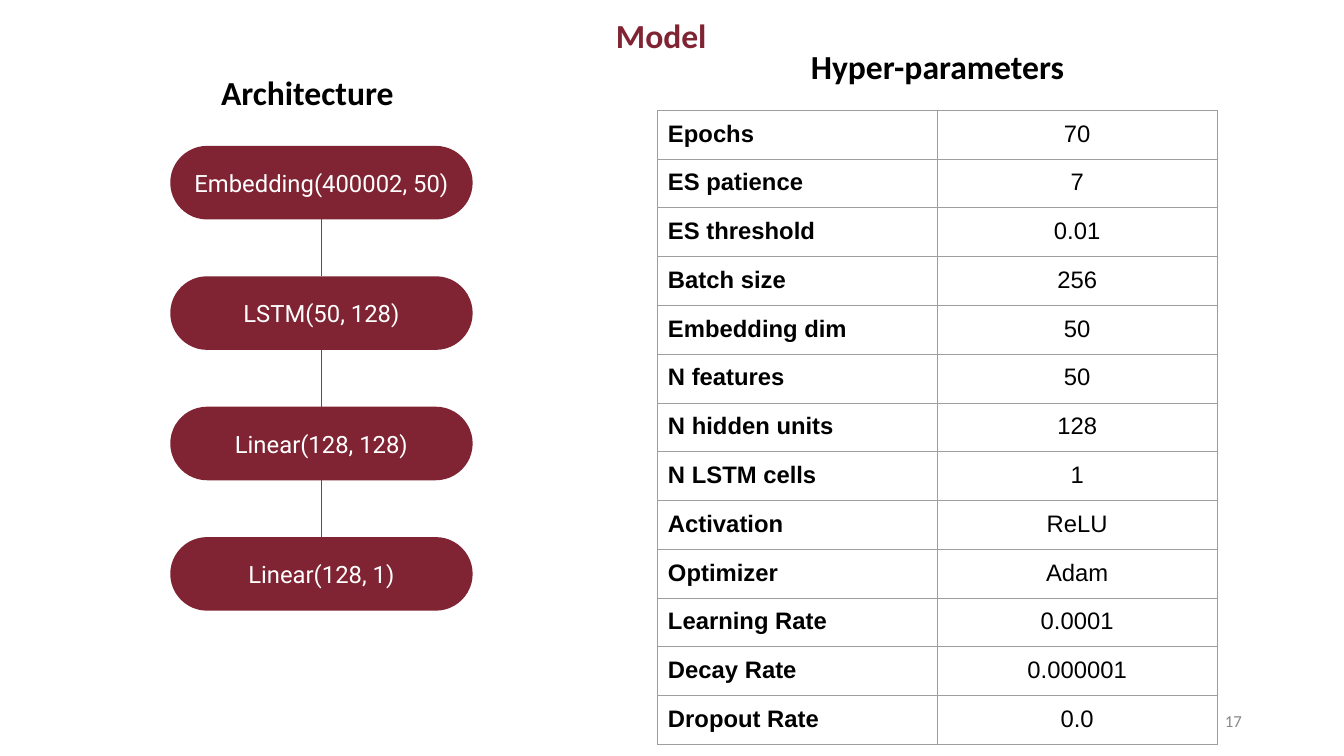
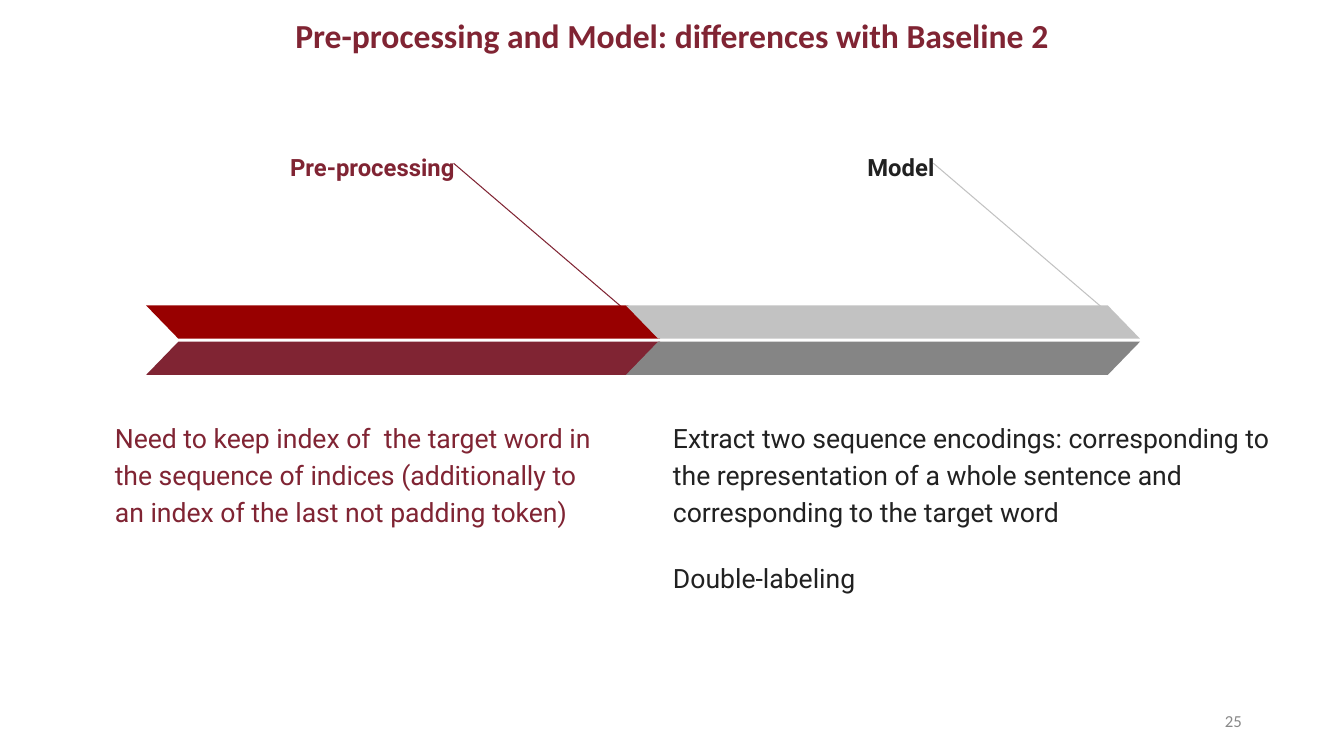
from dataclasses import dataclass
from typing import Any, NamedTuple

from lxml import etree
from pptx import Presentation, util as u
from pptx.dml import color
from pptx.enum import shapes, text
from pptx.oxml import ns

SLIDE_W, SLIDE_H = u.Inches(13.33), u.Inches(7.5)
MAROON, RED, INK, BLACK, WHITE = "802433", "980000", "212121", "000000", "FFFFFF"
SILVER, GREY, SLATE, BORDER, FOOTER = "C2C2C2", "858585", "44546A", "9E9E9E", "888888"
LEFT, CENTER, RIGHT = text.PP_ALIGN.LEFT, text.PP_ALIGN.CENTER, text.PP_ALIGN.RIGHT
TOP, MIDDLE = text.MSO_ANCHOR.TOP, text.MSO_ANCHOR.MIDDLE


class Box(NamedTuple):
    """A frame in percent of the slide's width and height."""
    left: float
    top: float
    width: float
    height: float

    def emu(self) -> tuple[int, int, int, int]:
        return (across(self.left), down(self.top),
                across(self.width), down(self.height))


@dataclass(frozen=True)
class Style:
    font: dict[str, Any]
    color: str
    paragraph: dict[str, Any]
    inset: tuple[float, float] = (0.1, 0.1)
    anchor: Any = TOP


@dataclass(frozen=True)
class Stage:
    label: str
    label_width: float
    body: tuple[str, ...]
    body_box: Box
    ink: str
    leader: str
    upper: str
    lower: str


def font(name: str, size: float, bold: bool = False) -> dict[str, Any]:
    return {"name": name, "size": u.Pt(size), "bold": bold}


def heading_style(ink: str, before: float) -> Style:
    return Style(font("Calibri", 24, True), ink,
                 {"alignment": CENTER, "line_spacing": 0.9, "space_before": u.Pt(before)})


TITLE = heading_style(MAROON, 5)
HEADING = heading_style(BLACK, 10)
NUMBER = Style(font("Calibri", 12), FOOTER, {"alignment": RIGHT}, (0.1, 0.05), MIDDLE)
LAYER = Style(font("Roboto", 17), WHITE, {"alignment": CENTER}, (0.13, 0.13), MIDDLE)
NAME_CELL = Style(font("Arial", 17, True), BLACK, {"alignment": LEFT})
VALUE_CELL = Style(font("Arial", 17), BLACK, {"alignment": CENTER})

LAYERS = ("Embedding(400002, 50)", "LSTM(50, 128)", "Linear(128, 128)", "Linear(128, 1)")
LAYER_BOX, LAYER_PITCH = Box(12.67, 19.3, 22.5, 9.73), 17.25
PARAMETERS = (
    ("Epochs", "70"), ("ES patience", "7"), ("ES threshold", "0.01"),
    ("Batch size", "256"), ("Embedding dim", "50"), ("N features", "50"),
    ("N hidden units", "128"), ("N LSTM cells", "1"), ("Activation", "ReLU"),
    ("Optimizer", "Adam"), ("Learning Rate", "0.0001"), ("Decay Rate", "0.000001"),
    ("Dropout Rate", "0.0"),
)
STAGE_PITCH = 35.7
STAGES = (
    Stage("Pre-processing", 23.93,
          ("Need to keep index of  the target word in the sequence of indices "
           "(additionally to an index of the last not padding token)",),
          Box(7.57, 53.47, 38.25, 22.67), MAROON, MAROON, RED, MAROON),
    Stage("Model", 13.05,
          ("Extract two sequence encodings: corresponding to the representation of "
           "a whole sentence and corresponding to the target word", "Double-labeling"),
          Box(49.1, 53.47, 48.25, 22.67), INK, SILVER, SILVER, GREY),
)


def across(percent: float) -> int:
    return round(SLIDE_W * percent / 100)


def down(percent: float) -> int:
    return round(SLIDE_H * percent / 100)


def rgb(code: str) -> color.RGBColor:
    return color.RGBColor.from_string(code)


def apply(target: Any, values: dict[str, Any]) -> None:
    for key, value in values.items():
        setattr(target, key, value)


def write(frame: Any, lines: tuple[str, ...], style: Style) -> None:
    for index, line in enumerate(lines):
        paragraph = frame.paragraphs[0] if index == 0 else frame.add_paragraph()
        apply(paragraph, style.paragraph)
        run = paragraph.add_run()
        run.text = line
        apply(run.font, style.font)
        run.font.color.rgb = rgb(style.color)


def margins(style: Style) -> dict[str, int]:
    side, end = map(u.Inches, style.inset)
    return {"margin_left": side, "margin_right": side,
            "margin_top": end, "margin_bottom": end}


def fill_frame(frame: Any, lines: tuple[str, ...], style: Style) -> None:
    apply(frame, {"word_wrap": True, "vertical_anchor": style.anchor, **margins(style)})
    write(frame, lines, style)


def add_text(slide: Any, box: Box, style: Style, *lines: str) -> Any:
    frame = slide.shapes.add_textbox(*box.emu()).text_frame
    fill_frame(frame, lines, style)
    return frame


def add_solid(slide: Any, kind: Any, box: Box, fill: str, adjustment: float) -> Any:
    solid = slide.shapes.add_shape(kind, *box.emu())
    solid.adjustments[0] = adjustment
    solid.shadow.inherit = False
    solid.fill.solid()
    solid.fill.fore_color.rgb = rgb(fill)
    solid.line.fill.background()
    return solid


def add_line(slide: Any, start: tuple[float, float], end: tuple[float, float],
             ink: str) -> None:
    line = slide.shapes.add_connector(
        shapes.MSO_CONNECTOR.STRAIGHT,
        across(start[0]), down(start[1]), across(end[0]), down(end[1]))
    line.line.color.rgb = rgb(ink)
    line.line.width = u.Pt(0.75)
    etree.SubElement(line.element.spPr, ns.qn("a:effectLst"))


def add_borders(cell: Any) -> None:
    properties = cell._tc.get_or_add_tcPr()
    for index, side in enumerate("LRTB"):
        edge = etree.Element(ns.qn(f"a:ln{side}"), w=str(u.Pt(0.75)))
        solid = etree.SubElement(edge, ns.qn("a:solidFill"))
        etree.SubElement(solid, ns.qn("a:srgbClr"), val=BORDER)
        properties.insert(index, edge)


def add_base(deck: Any, title: str, number: int, title_left: float) -> Any:
    """Add a blank slide with the shared title and page number."""
    slide = deck.slides.add_slide(deck.slide_layouts[6])
    add_text(slide, Box(70.65, 92.67, 22.5, 5.33), NUMBER, str(number))
    add_text(slide, Box(title_left, 1.2, 98.4, 7.6), TITLE, title)
    return slide


def add_layers(slide: Any) -> None:
    left, top, width, height = LAYER_BOX
    middle = left + width / 2
    for index, layer in enumerate(LAYERS):
        layer_top = top + index * LAYER_PITCH
        pill = add_solid(slide, shapes.MSO_SHAPE.ROUNDED_RECTANGLE,
                         LAYER_BOX._replace(top=layer_top), MAROON, 0.5)
        fill_frame(pill.text_frame, (layer,), LAYER)
        if index:
            add_line(slide, (middle, layer_top - LAYER_PITCH + height),
                     (middle, layer_top), SLATE)


def add_parameters(slide: Any, box: Box) -> None:
    table = slide.shapes.add_table(len(PARAMETERS), 2, *box.emu()).table
    apply(table, {"first_row": False, "horz_banding": False})
    for row, entry in enumerate(PARAMETERS):
        for column, style in enumerate((NAME_CELL, VALUE_CELL)):
            cell = table.cell(row, column)
            apply(cell, margins(style))
            cell.fill.background()
            add_borders(cell)
            write(cell.text_frame, (entry[column],), style)


def add_stage(slide: Any, stage: Stage, shift: float) -> None:
    spacing = {"line_spacing": 1.15, "space_after": u.Pt(21)}
    label = Style(font("Roboto", 17, True), stage.ink,
                  {"alignment": RIGHT, **spacing}, (0.13, 0.13))
    body = Style(font("Roboto", 19), stage.ink,
                 {"alignment": LEFT, **spacing}, (0.13, 0.13))
    label_left = 34.8 + shift - stage.label_width
    add_text(slide, Box(label_left, 17.87, stage.label_width, 7.47), label, stage.label)
    add_text(slide, stage.body_box, body, *stage.body)
    add_line(slide, (33.75 + shift, 21.6), (48.75 + shift, 44.4), stage.leader)
    for top, fill, flipped in ((40.4, stage.upper, True), (45.2, stage.lower, False)):
        band = add_solid(slide, shapes.MSO_SHAPE.PARALLELOGRAM,
                         Box(10.87 + shift, top, 38.25, 4.4), fill, 0.97)
        if flipped:
            band.element.spPr.find(ns.qn("a:xfrm")).set("flipH", "1")


def main() -> None:
    deck = Presentation()
    apply(deck, {"slide_width": SLIDE_W, "slide_height": SLIDE_H})

    model = add_base(deck, "Model", 17, 0)
    add_text(model, Box(10.57, 8.8, 24.6, 7.6), HEADING, "Architecture")
    add_text(model, Box(57.45, 5.33, 24.6, 7.6), HEADING, "Hyper-parameters")
    add_layers(model)
    add_parameters(model, Box(48.95, 14.6, 41.6, 83.75))

    differences = add_base(
        deck, "Pre-processing and Model: differences with Baseline 2", 25, 0.8)
    for index, stage in enumerate(STAGES):
        add_stage(differences, stage, index * STAGE_PITCH)

    deck.save("out.pptx")


if __name__ == "__main__":
    main()
